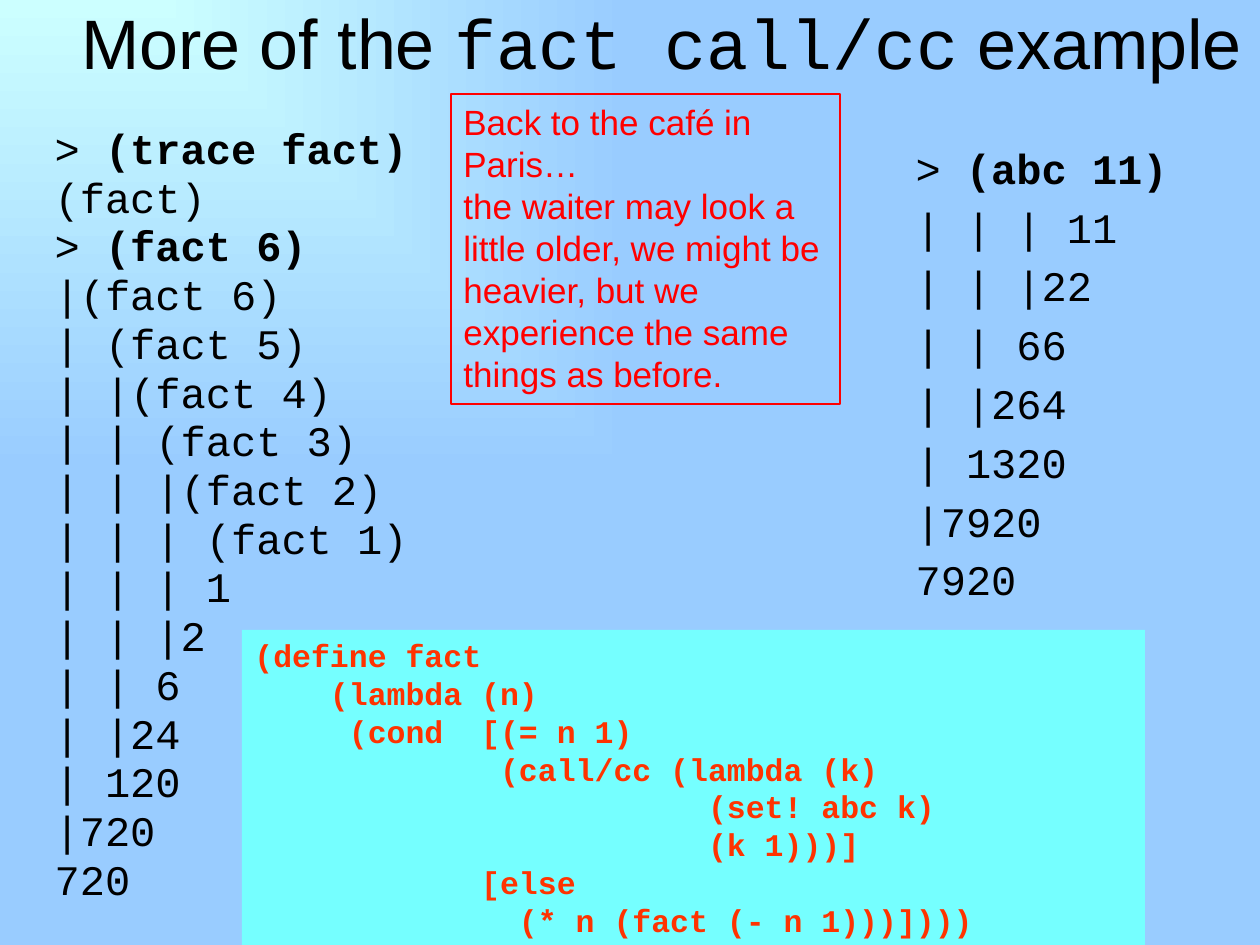
from lxml import etree
from pptx import Presentation
from pptx.dml.color import RGBColor
from pptx.enum.shapes import MSO_SHAPE
from pptx.enum.text import MSO_ANCHOR, MSO_AUTO_SIZE, PP_ALIGN
from pptx.oxml.ns import qn
from pptx.util import Emu, Pt

RECT = MSO_SHAPE.RECTANGLE
TOP, MIDDLE = MSO_ANCHOR.TOP, MSO_ANCHOR.MIDDLE
LEFT, CENTER = PP_ALIGN.LEFT, PP_ALIGN.CENTER
NO_FIT = MSO_AUTO_SIZE.NONE

EMU_PER_PX = 914400 / 126
SANS, MONO = "Arial", "Courier New"
PROMPT = "> "
COLORS = {
    "glow": "CCFFFF",
    "sky": "99CCFF",
    "text": "000000",
    "code_fill": "75FFFF",
    "code": "FF3300",
    "note": "FF0000",
}

FACT_TRACE = [
    "> (trace fact)",
    "(fact)",
    "> (fact 6)",
    "|(fact 6)",
    "| (fact 5)",
    "| |(fact 4)",
    "| | (fact 3)",
    "| | |(fact 2)",
    "| | | (fact 1)",
    "| | | 1",
    "| | |2",
    "| | 6",
    "| |24",
    "| 120",
    "|720",
    "720",
]
ABC_TRACE = [
    "> (abc 11)",
    "| | | 11",
    "| | |22",
    "| | 66",
    "| |264",
    "| 1320",
    "|7920",
    "7920",
]
FACT_CODE = [
    "(define fact",
    "    (lambda (n)",
    "     (cond  [(= n 1)",
    "             (call/cc (lambda (k)",
    "                        (set! abc k)",
    "                        (k 1)))]",
    "            [else",
    "              (* n (fact (- n 1)))])))",
]
NOTE = [
    "Back to the café in Paris… ",
    "the waiter may look a little older, we might be heavier, "
    "but we experience the same things as before.",
]


def px(n):
    return Emu(round(n * EMU_PER_PX))


def rgb(name):
    return RGBColor.from_string(COLORS[name])


def place(sp, left, top, width, height):
    sp.left, sp.top, sp.width, sp.height = map(px, (left, top, width, height))


def setup_text(sp, anchor):
    tf = sp.text_frame
    tf.word_wrap = True
    tf.auto_size = NO_FIT
    tf.vertical_anchor = anchor
    return tf


def add_run(p, text, font, size, color, bold=False):
    r = p.add_run()
    r.text = text
    r.font.name = font
    r.font.size = Pt(size)
    r.font.bold = bold
    r.font.color.rgb = rgb(color)


def paragraphs(tf, lines):
    """Yield each line with its paragraph, reusing the frame's first one."""
    for i, line in enumerate(lines):
        yield (tf.add_paragraph() if i else tf.paragraphs[0]), line


def set_background(s):
    """Fill with a rectangular gradient that spreads from the top left corner."""
    fill = s.background.fill
    fill.gradient()
    for stop, name in zip(fill.gradient_stops, ("glow", "sky")):
        stop.color.rgb = rgb(name)
    grad = next(s.element.iter(qn("a:gradFill")))
    grad.remove(grad.find(qn("a:lin")))
    shade = etree.SubElement(grad, qn("a:path"), {"path": "rect"})
    etree.SubElement(shade, qn("a:fillToRect"), {"r": "100000", "b": "100000"})


def fill_title(sp):
    place(sp, 0, 0, 1323, 84)
    p = setup_text(sp, MIDDLE).paragraphs[0]
    p.alignment = CENTER
    for text, font in (("More of the ", SANS), ("fact call/cc", MONO), (" example", SANS)):
        add_run(p, text, font, 40, "text")


def fill_trace(sp, box, lines, line_spacing):
    """Write a session log, with what follows a prompt in bold."""
    place(sp, *box)
    for p, line in paragraphs(setup_text(sp, TOP), lines):
        pPr = p._p.get_or_add_pPr()
        pPr.set("marL", str(px(48)))
        pPr.set("indent", str(px(-48)))
        etree.SubElement(pPr, qn("a:buNone"))
        p.line_spacing = line_spacing
        p.space_before = Pt(0 if line == lines[0] else 4.8)
        if line.startswith(PROMPT):
            add_run(p, PROMPT, MONO, 24, "text")
            add_run(p, line[len(PROMPT):], MONO, 24, "text", bold=True)
        else:
            add_run(p, line, MONO, 24, "text")


def add_box(s, box):
    sp = s.shapes.add_shape(RECT, *map(px, box))
    sp.shadow.inherit = False
    return sp


def add_code(s):
    sp = add_box(s, (242, 630, 903, 315))
    sp.fill.solid()
    sp.fill.fore_color.rgb = rgb("code_fill")
    sp.line.fill.background()
    for p, line in paragraphs(setup_text(sp, TOP), FACT_CODE):
        p.alignment = LEFT
        add_run(p, line, MONO, 18, "code", bold=True)
    s.shapes[0].element.addprevious(sp.element)


def add_note(s):
    sp = add_box(s, (451, 94, 389, 310))
    sp.fill.background()
    sp.line.color.rgb = rgb("note")
    sp.line.width = Pt(1.5)
    p = setup_text(sp, TOP).paragraphs[0]
    p.alignment = LEFT
    first, rest = NOTE
    add_run(p, first, SANS, 20, "note")
    p.add_line_break()
    add_run(p, rest, SANS, 20, "note")


def main():
    prs = Presentation()
    prs.slide_width, prs.slide_height = px(1260), px(945)
    s = prs.slides.add_slide(prs.slide_layouts[3])
    set_background(s)
    title, left_body, right_body = s.placeholders
    fill_title(title)
    fill_trace(left_body, (42, 126, 546, 777), FACT_TRACE, 0.8)
    fill_trace(right_body, (903, 136, 388, 504), ABC_TRACE, 1.0)
    add_code(s)
    add_note(s)
    prs.save("out.pptx")


if __name__ == "__main__":
    main()
